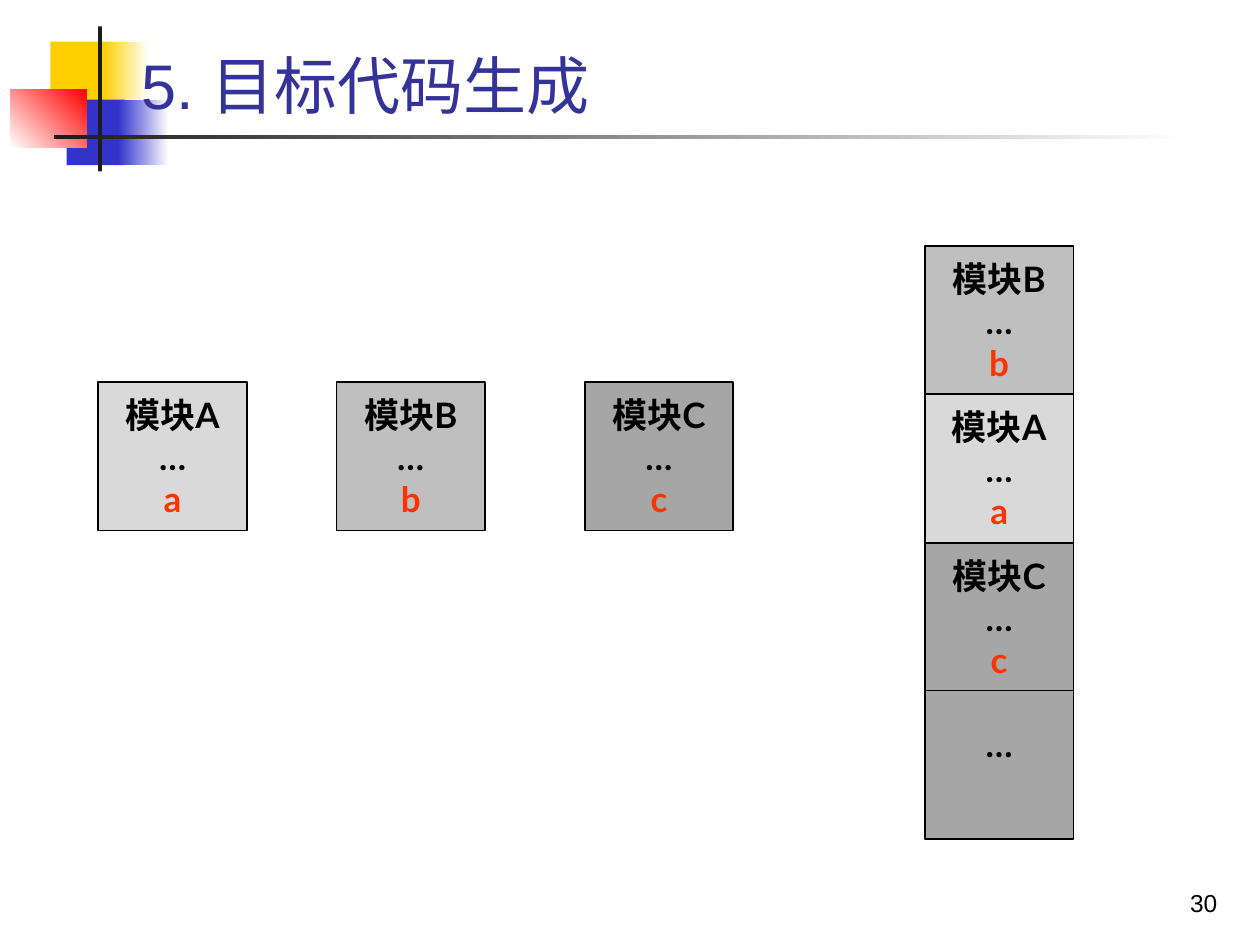
from pptx import Presentation
from pptx.dml.color import RGBColor
from pptx.enum.shapes import MSO_SHAPE
from pptx.enum.text import MSO_ANCHOR, PP_ALIGN
from pptx.util import Inches, Pt

HEAD = {"name": "Arial", "size": Pt(36), "bold": False}
PAGE = {"name": "Arial", "size": Pt(14), "bold": False}
BODY = {"name": "Lato", "size": Pt(20), "bold": True}
BLACK, BLUE, RED, DARK = "000000", "333399", "FF3300", "1C1C1C"
SIDE = 1.18


def tint(code):
    return RGBColor.from_string(code)


class Deck:
    """Holds the show, its current slide and the shared style."""

    def __init__(self):
        self.show = Presentation()
        self.show.slide_width, self.show.slide_height = Inches(10), Inches(7.5)
        self.slide = self.show.slides.add_slide(self.show.slide_layouts[5])

    def letter(self, frame, lines, style, align):
        for num, (text, code) in enumerate(lines):
            para = frame.add_paragraph() if num else frame.paragraphs[0]
            para.alignment = align
            run = para.add_run()
            run.text = text
            for key, value in style.items():
                setattr(run.font, key, value)
            run.font.color.rgb = tint(code)

    def rect(self, place, *codes, angle=0):
        shape = self.slide.shapes.add_shape(MSO_SHAPE.RECTANGLE, *map(Inches, place))
        shape.shadow.inherit = False
        shape.line.fill.background()
        if len(codes) == 1:
            shape.fill.solid()
            shape.fill.fore_color.rgb = tint(codes[0])
        else:
            shape.fill.gradient()
            shape.fill.gradient_angle = angle
            for stop, code in zip(shape.fill.gradient_stops, codes):
                stop.color.rgb = tint(code)
        return shape

    def block(self, left, top, code, lines, foot=0.05):
        shape = self.rect((left, top, SIDE, SIDE), code)
        shape.line.color.rgb = tint(BLACK)
        shape.line.width = Pt(1)
        frame = shape.text_frame
        look = {"word_wrap": False, "vertical_anchor": MSO_ANCHOR.MIDDLE,
                "margin_bottom": Inches(foot)}
        for key, value in look.items():
            setattr(frame, key, value)
        self.letter(frame, lines, BODY, PP_ALIGN.CENTER)

    def title(self, place, text):
        shape = self.slide.shapes.title
        shape.left, shape.top, shape.width, shape.height = map(Inches, place)
        shape.text_frame.vertical_anchor = MSO_ANCHOR.BOTTOM
        self.letter(shape.text_frame, [(text, BLUE)], HEAD, PP_ALIGN.LEFT)
        shape.element.getparent().append(shape.element)

    def label(self, place, text):
        frame = self.slide.shapes.add_textbox(*map(Inches, place)).text_frame
        frame.word_wrap = True
        frame.vertical_anchor = MSO_ANCHOR.BOTTOM
        self.letter(frame, [(text, BLACK)], PAGE, PP_ALIGN.RIGHT)


def main():
    deck = Deck()
    deck.rect((0.4, 0.33, 0.48, 0.52), "FFCF01")
    deck.rect((0.82, 0.33, 0.36, 0.52), "FFCF01", "FFFFFF")
    deck.rect((0.53, 0.79, 0.46, 0.52), "3333CC")
    deck.rect((0.94, 0.79, 0.4, 0.52), "3333CC", "FFFFFF")
    deck.rect((0.08, 0.71, 0.61, 0.46), "FFFFFF", "FF0000", angle=45)
    deck.rect((0.78, 0.21, 0.03, 1.15), DARK)
    deck.rect((0.43, 1.07, 9, 0.03), DARK, "FFFFFF")
    deck.title((1.02, 0.31, 8.75, 0.71), "5. 目标代码生成")
    deck.label((7.68, 6.83, 2.08, 0.5), "30")

    fills = {"A": "D9D9D9", "B": "BFBFBF", "C": "A6A6A6"}
    parts = {name: [("模块" + name, BLACK), ("…", BLACK), (name.lower(), RED)]
             for name in fills}
    for name, left in zip("ABC", (0.78, 2.67, 4.64)):
        deck.block(left, 3.03, fills[name], parts[name])
    stack, top = 7.34, 1.95
    for row, name in enumerate("BAC"):
        deck.block(stack, top + row * SIDE, fills[name], parts[name])
    deck.block(stack, 5.48, fills["C"], [("…", BLACK)], foot=0.38)
    deck.show.save("out.pptx")


if __name__ == "__main__":
    main()
